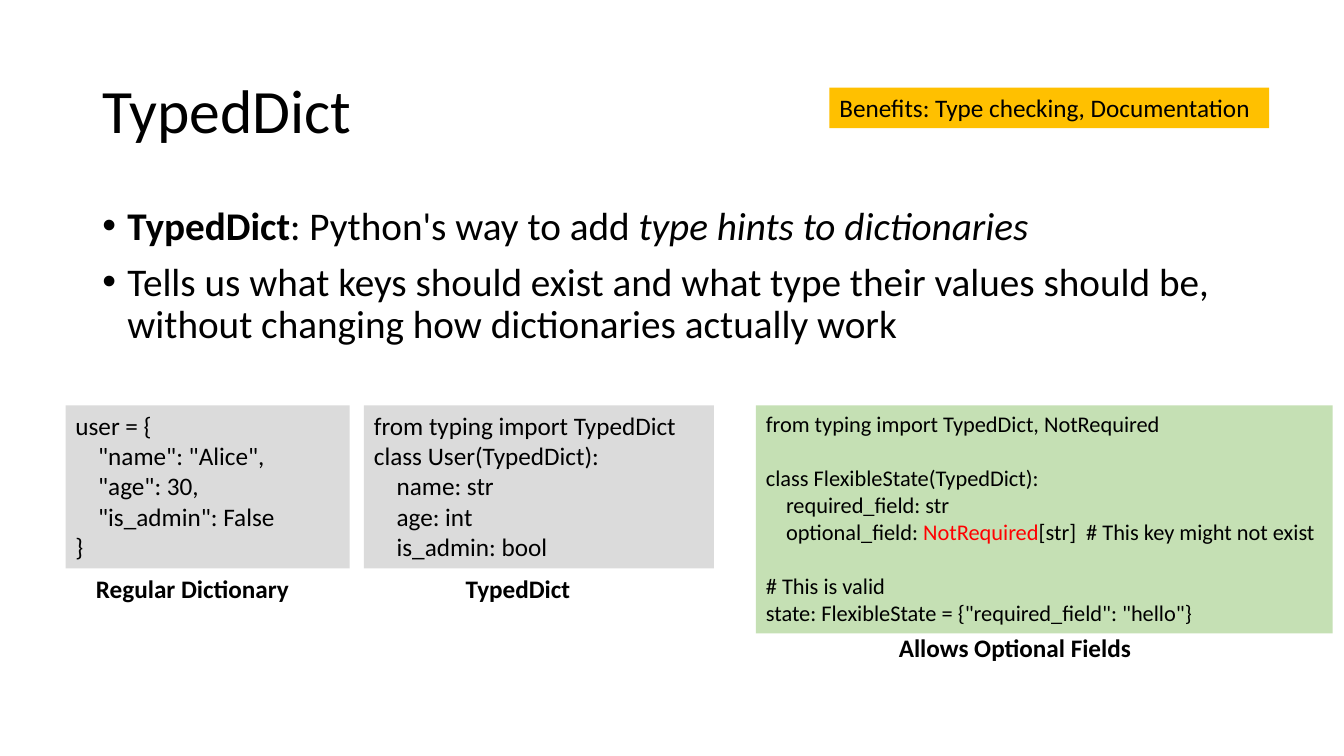
from lxml.etree import SubElement
from pptx import Presentation
from pptx.dml.color import RGBColor
from pptx.enum.shapes import MSO_SHAPE
from pptx.enum.text import MSO_ANCHOR, MSO_AUTO_SIZE, PP_ALIGN
from pptx.oxml.ns import qn
from pptx.util import Pt

COLORS = {
    "ink": "000000",
    "gray": "DBDBDB",
    "gold": "FFC000",
    "green": "C5E0B4",
    "red": "FF0000",
}


class Deck:
    font = "Calibri"

    def __init__(self, width, height):
        self.prs = Presentation()
        self.prs.slide_width = Pt(width)
        self.prs.slide_height = Pt(height)
        self.slide = self.prs.slides.add_slide(self.prs.slide_layouts[6])

    def color(self, name):
        return RGBColor.from_string(COLORS[name])

    def style(self, item, values):
        for name, value in values.items():
            setattr(item, name, value)

    def frame(self, shape, **values):
        base = {
            "word_wrap": True,
            "auto_size": MSO_AUTO_SIZE.SHAPE_TO_FIT_TEXT,
            "vertical_anchor": MSO_ANCHOR.TOP,
        }
        self.style(shape.text_frame, base | values)
        return shape.text_frame

    def fill(self, frame, lines, size, **values):
        for i, runs in enumerate(lines):
            para = frame.paragraphs[0] if i == 0 else frame.add_paragraph()
            self.style(para, {"alignment": PP_ALIGN.LEFT} | values)
            for text, look in runs:
                run = para.add_run()
                run.text = text
                look = dict(look)
                run.font.color.rgb = self.color(look.pop("color", "ink"))
                self.style(run.font, {"name": self.font, "size": Pt(size)} | look)

    def box(self, place):
        return self.slide.shapes.add_textbox(*map(Pt, place))

    def title(self, place, text):
        frame = self.frame(
            self.box(place),
            auto_size=MSO_AUTO_SIZE.NONE,
            vertical_anchor=MSO_ANCHOR.MIDDLE,
        )
        self.fill(frame, [[(text, {})]], 44, line_spacing=0.9)

    def bullets(self, place, lines):
        frame = self.frame(self.box(place), auto_size=MSO_AUTO_SIZE.NONE)
        self.fill(frame, lines, 28, line_spacing=0.9, space_before=Pt(10))
        for para in frame.paragraphs:
            props = para._p.get_or_add_pPr()
            props.set("marL", str(Pt(18)))
            props.set("indent", str(-Pt(18)))
            SubElement(props, qn("a:buFont"), typeface="Arial")
            SubElement(props, qn("a:buChar"), char="•")

    def label(self, place, text):
        frame = self.frame(self.box(place))
        self.fill(frame, [[(text, {"bold": True})]], 18, alignment=PP_ALIGN.CENTER)

    def panel(self, place, tint, lines, size=18, nested=(), gaps=()):
        shape = self.slide.shapes.add_shape(MSO_SHAPE.RECTANGLE, *map(Pt, place))
        shape.shadow.inherit = False
        shape.fill.solid()
        shape.fill.fore_color.rgb = self.color(tint)
        shape.line.fill.background()
        frame = self.frame(shape)
        rows = [[(row, {})] if isinstance(row, str) else row for row in lines]
        self.fill(frame, rows, size)
        for i in nested:
            props = frame.paragraphs[i]._p.get_or_add_pPr()
            props.set("marL", str(Pt(round(size * 0.9, 2))))
        for i in gaps:
            frame.paragraphs[i].space_before = Pt(round(size * 1.22, 2))


def main():
    deck = Deck(960, 540)
    deck.title((66, 28.75, 828, 104.4), "TypedDict")
    deck.bullets((66, 143.75, 828, 342.6), [
        [
            ("TypedDict", {"bold": True}),
            (": Python's way to add ", {}),
            ("type hints to dictionaries", {"italic": True}),
        ],
        [(
            "Tells us what keys should exist and what type their values "
            "should be, without changing how dictionaries actually work",
            {},
        )],
    ])

    top, tall = 289.5, 116.6
    deck.panel((46.8, top, 203, tall), "gray", [
        "user = {",
        '"name": "Alice",',
        '"age": 30,',
        '"is_admin": False',
        "}",
    ], nested=(1, 2, 3))
    deck.panel((260, top, 250, tall), "gray", [
        "from typing import TypedDict",
        "class User(TypedDict):",
        "name: str",
        "age: int",
        "is_admin: bool",
    ], nested=(2, 3, 4))
    deck.panel(
        (592.5, 62.6, 314, 29),
        "gold",
        ["Benefits: Type checking, Documentation"],
    )
    deck.panel((540, top, 412, 163), "green", [
        "from typing import TypedDict, NotRequired",
        "class FlexibleState(TypedDict):",
        "required_field: str",
        [
            ("optional_field: ", {}),
            ("NotRequired", {"color": "red"}),
            ("[str]  # This key might not exist", {}),
        ],
        "# This is valid",
        'state: FlexibleState = {"required_field": "hello"}',
    ], size=16, nested=(2, 3), gaps=(1, 4))

    for left, y, text in (
        (36, 406, "Regular Dictionary"),
        (268.5, 406, "TypedDict"),
        (623.5, 448, "Allows Optional Fields"),
    ):
        deck.label((left, y, 203, 29), text)
    deck.prs.save("out.pptx")


if __name__ == "__main__":
    main()
